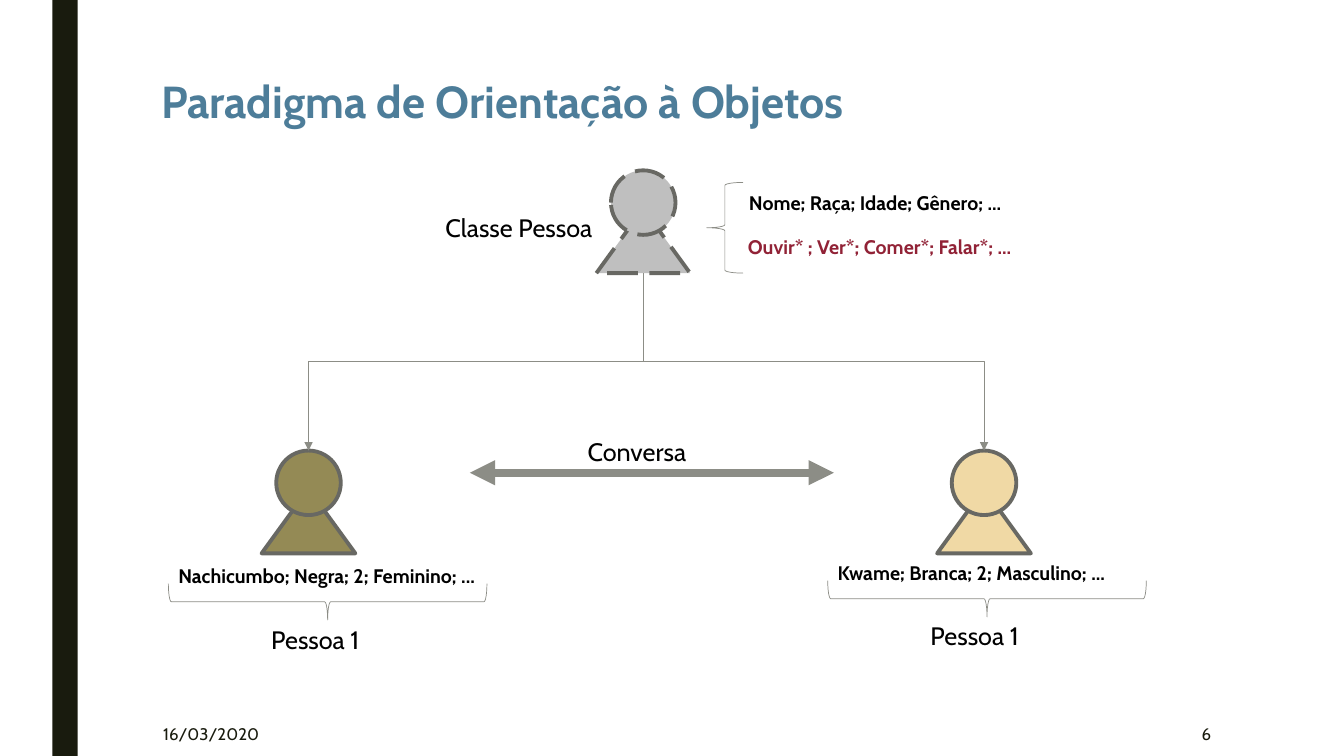
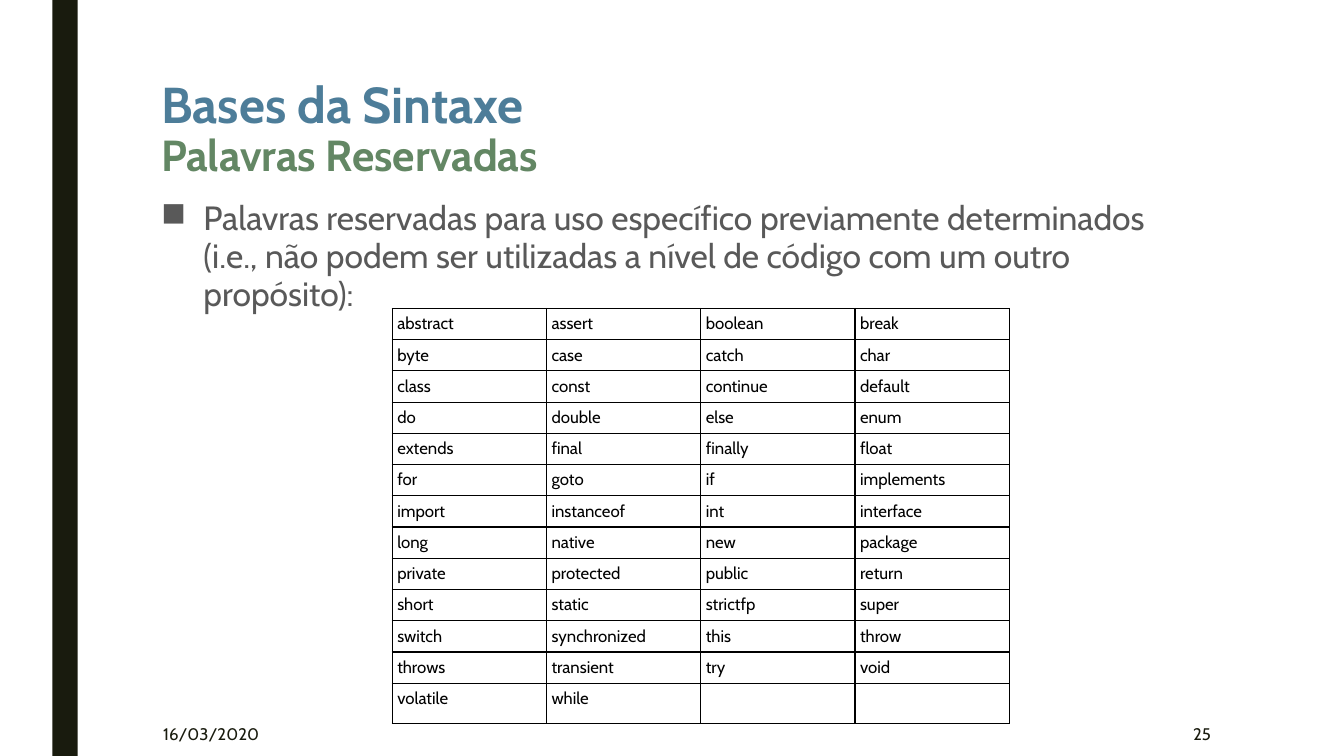
from pptx import Presentation, util as u
from pptx.dml.color import RGBColor
from pptx.enum import dml, shapes, text
from pptx.oxml.ns import qn
from pptx.oxml.xmlchemy import OxmlElement

FONT = "Cabin"
COLORS = {
    "band": "191B0E", "title": "4D7D99", "subtitle": "638764", "body": "595959",
    "black": "000000", "method": "912236", "line": "8C8D86", "outline": "686863",
    "class": "BFBFBF", "olive": "948A55", "sand": "F0D9A5",
}
DATE = "16/03/2020"

# Class diagram: people are (centre x, head top, fill, dashed outline)
CLASS_TITLE = [("Paradigma de Orientação à Objetos", 32, "title")]
PERSON_CLASS = (6.38, 1.69, "class", True)
PEOPLE = [(3.06, 4.47, "olive", False), (9.76, 4.47, "sand", False)]
FIGURE_HEIGHT = 1.02
# Captions are (left, top, attribute values, text width, name)
CAPTIONS = [
    (1.67, 5.55, "Nachicumbo; Negra; 2; Feminino; ...", 3.16, "Pessoa 1"),
    (8.21, 5.52, "Kwame; Branca; 2; Masculino; ...", 2.91, "Pessoa 1"),
]
# Labels are (left, top, width, words, size, colour, bold)
LABELS = [
    (7.33, 1.84, 2.72, "Nome; Raça; Idade; Gênero; ...", 14, "black", True),
    (7.32, 2.28, 2.9, "Ouvir* ; Ver*; Comer*; Falar*; ...", 14, "method", True),
    (4.32, 2.06, 1.74, "Classe Pessoa", 18, "black", False),
    (5.73, 4.28, 1.19, "Conversa", 18, "black", False),
]

# Reserved words
SYNTAX_TITLE = [("Bases da Sintaxe", 36, "title"), ("Palavras Reservadas", 31, "subtitle")]
SYNTAX_BODY = ("Palavras reservadas para uso específico previamente determinados "
               "(i.e., não podem ser utilizadas a nível de código com um outro propósito):")
KEYWORDS = [
    ("abstract", "assert", "boolean", "break"),
    ("byte", "case", "catch", "char"),
    ("class", "const", "continue", "default"),
    ("do", "double", "else", "enum"),
    ("extends", "final", "finally", "float"),
    ("for", "goto", "if", "implements"),
    ("import", "instanceof", "int", "interface"),
    ("long", "native", "new", "package"),
    ("private", "protected", "public", "return"),
    ("short", "static", "strictfp", "super"),
    ("switch", "synchronized", "this", "throw"),
    ("throws", "transient", "try", "void"),
    ("volatile", "while", "", ""),
]
COLUMN_WIDTH, ROW_HEIGHT, CELL_INSET = 1.53, 0.31, 0.05


def inches(*lengths):
    return [u.Inches(length) for length in lengths]


def rgb(name):
    return RGBColor.from_string(COLORS[name])


def xml_child(parent, tag, **attributes):
    child = OxmlElement(tag)
    for key, value in attributes.items():
        child.set(key, str(value))
    parent.append(child)
    return child


def add_run(paragraph, words, size, color, bold=False):
    run = paragraph.add_run()
    run.text = words
    run.font.name, run.font.size, run.font.bold = FONT, u.Pt(size), bold
    run.font.color.rgb = rgb(color)


def add_text(slide, at, runs, bold=False, wrap=True, align=text.PP_ALIGN.LEFT,
             anchor=text.MSO_ANCHOR.TOP):
    """Add a text box, one line per run, and return its paragraph."""
    frame = slide.shapes.add_textbox(*inches(*at)).text_frame
    frame.word_wrap, frame.vertical_anchor = wrap, anchor
    if not wrap:
        frame.auto_size = text.MSO_AUTO_SIZE.SHAPE_TO_FIT_TEXT
    paragraph = frame.paragraphs[0]
    paragraph.alignment = align
    for index, run in enumerate(runs):
        if index:
            paragraph.add_line_break()
        add_run(paragraph, *run, bold)
    return paragraph


def add_label(slide, left, top, width, words, size, color="black", bold=False):
    height = 0.4 if size == 18 else 0.34
    add_text(slide, (left, top, width, height), [(words, size, color)], bold, wrap=False)


def add_outline(slide, preset, at, fill=None, line=None, width=0.5):
    shape = slide.shapes.add_shape(preset, *inches(*at))
    shape.shadow.inherit = False
    if fill:
        shape.fill.solid()
        shape.fill.fore_color.rgb = rgb(fill)
    else:
        shape.fill.background()
    if line:
        shape.line.color.rgb = rgb(line)
        shape.line.width = u.Pt(width)
    else:
        shape.line.fill.background()
    return shape


def add_brace(slide, left, top, height):
    return add_outline(slide, shapes.MSO_SHAPE.LEFT_BRACE, (left, top, 0.36, height), line="line")


def add_person(slide, center, top, fill, dashed):
    for preset, width, offset in ((shapes.MSO_SHAPE.ISOSCELES_TRIANGLE, 0.93, 0.38),
                                  (shapes.MSO_SHAPE.OVAL, 0.64, 0)):
        part = add_outline(slide, preset, (center - width / 2, top + offset, width, 0.64),
                           fill, "outline", 2.75)
        if dashed:
            part.line.dash_style = dml.MSO_LINE.LONG_DASH


def add_arrow(slide, kind, begin, end, width, ends):
    arrow = slide.shapes.add_connector(kind, *inches(*begin, *end))
    arrow.line.color.rgb = rgb("line")
    arrow.line.width = u.Pt(width)
    properties = arrow._element.spPr
    for tag in ends:
        xml_child(properties.find(qn("a:ln")), tag, type="triangle")
    xml_child(properties, "a:effectLst")
    return arrow


def add_branch(slide, begin, end):
    """Add an elbow arrow that leaves downwards: a sideways elbow, turned."""
    drop, span = end[1] - begin[1], abs(end[0] - begin[0])
    middle_x, middle_y = (begin[0] + end[0]) / 2, (begin[1] + end[1]) / 2
    to_left = end[0] < begin[0]
    half = drop / 2 if to_left else -drop / 2
    arrow = add_arrow(slide, shapes.MSO_CONNECTOR.ELBOW,
                      (middle_x - half, middle_y - span / 2),
                      (middle_x + half, middle_y + span / 2), 0.5, ["a:tailEnd"])
    quarter_turns = 1 if to_left else 3
    arrow._element.spPr.find(qn("a:xfrm")).set("rot", str(quarter_turns * 5400000))


def add_caption(slide, left, top, values, width, name):
    brace_length = 3.16
    brace = add_brace(slide, left + brace_length / 2 - 0.18,
                      top + 0.42 - brace_length / 2, brace_length)
    brace.rotation = 270
    add_label(slide, left, top, width, values, 14, bold=True)
    add_label(slide, left + 0.92, top + 0.59, 1.18, name, 18)


def add_slide(deck, title, number):
    """Add a slide with the side band, title, date and page number."""
    slide = deck.slides.add_slide(deck.slide_layouts[6])
    add_outline(slide, shapes.MSO_SHAPE.RECTANGLE, (0.52, 0, 0.25, 7.5), "band")
    heading = add_text(slide, (1.5, 0.75, 10.5, 0.69 if len(title) == 1 else 1.31), title, True)
    heading.line_spacing = 0.89
    for left, width, words, align in ((1.52, 1.32, DATE, text.PP_ALIGN.LEFT),
                                      (10.36, 1.75, str(number), text.PP_ALIGN.RIGHT)):
        add_text(slide, (left, 7.06, width, 0.44), [(words, 12, "band")],
                 align=align, anchor=text.MSO_ANCHOR.MIDDLE)
    return slide


def fill_cell(cell, word):
    cell.margin_left = cell.margin_right = u.Inches(CELL_INSET)
    cell.margin_top = cell.margin_bottom = u.Inches(CELL_INSET)
    add_run(cell.text_frame.paragraphs[0], word, 12, "black")
    properties = cell._tc.get_or_add_tcPr()
    for side in ("a:lnL", "a:lnR", "a:lnT", "a:lnB"):
        border = xml_child(properties, side, w=u.Pt(1))
        xml_child(xml_child(border, "a:solidFill"), "a:srgbClr", val=COLORS["black"])
    cell.fill.background()


def add_keywords(slide):
    rows, columns = len(KEYWORDS), len(KEYWORDS[0])
    table = slide.shapes.add_table(rows, columns, *inches(
        3.89, 3.06, columns * COLUMN_WIDTH, rows * ROW_HEIGHT)).table
    table.first_row = table.horz_banding = False
    for column in table.columns:
        column.width = u.Inches(COLUMN_WIDTH)
    for row, words in enumerate(KEYWORDS):
        table.rows[row].height = u.Inches(ROW_HEIGHT)
        for column, word in enumerate(words):
            fill_cell(table.cell(row, column), word)


def build_class_slide(deck):
    slide = add_slide(deck, CLASS_TITLE, 6)
    for person in [PERSON_CLASS, *PEOPLE]:
        add_person(slide, *person)
    add_brace(slide, 7.01, 1.81, 0.9)
    center, top = PERSON_CLASS[:2]
    for person in PEOPLE:
        add_branch(slide, (center, top + FIGURE_HEIGHT), person[:2])
    for caption in CAPTIONS:
        add_caption(slide, *caption)
    add_arrow(slide, shapes.MSO_CONNECTOR.STRAIGHT, (4.66, 4.69), (8.27, 4.69), 6,
              ["a:headEnd", "a:tailEnd"])
    for label in LABELS:
        add_label(slide, *label)


def build_syntax_slide(deck):
    slide = add_slide(deck, SYNTAX_TITLE, 25)
    add_keywords(slide)
    body = add_text(slide, (1.5, 1.94, 10.5, 4.44), [(SYNTAX_BODY, 24, "body")])
    body.line_spacing, body.space_before, body.space_after = 0.94, u.Pt(10), u.Pt(2)
    properties = body._p.get_or_add_pPr()
    properties.set("marL", str(u.Inches(0.42)))
    properties.set("indent", str(u.Inches(-0.42)))
    xml_child(properties, "a:buChar", char="■")


def main():
    deck = Presentation()
    deck.slide_width, deck.slide_height = inches(13.33, 7.5)
    build_class_slide(deck)
    build_syntax_slide(deck)
    deck.save("out.pptx")


if __name__ == "__main__":
    main()
